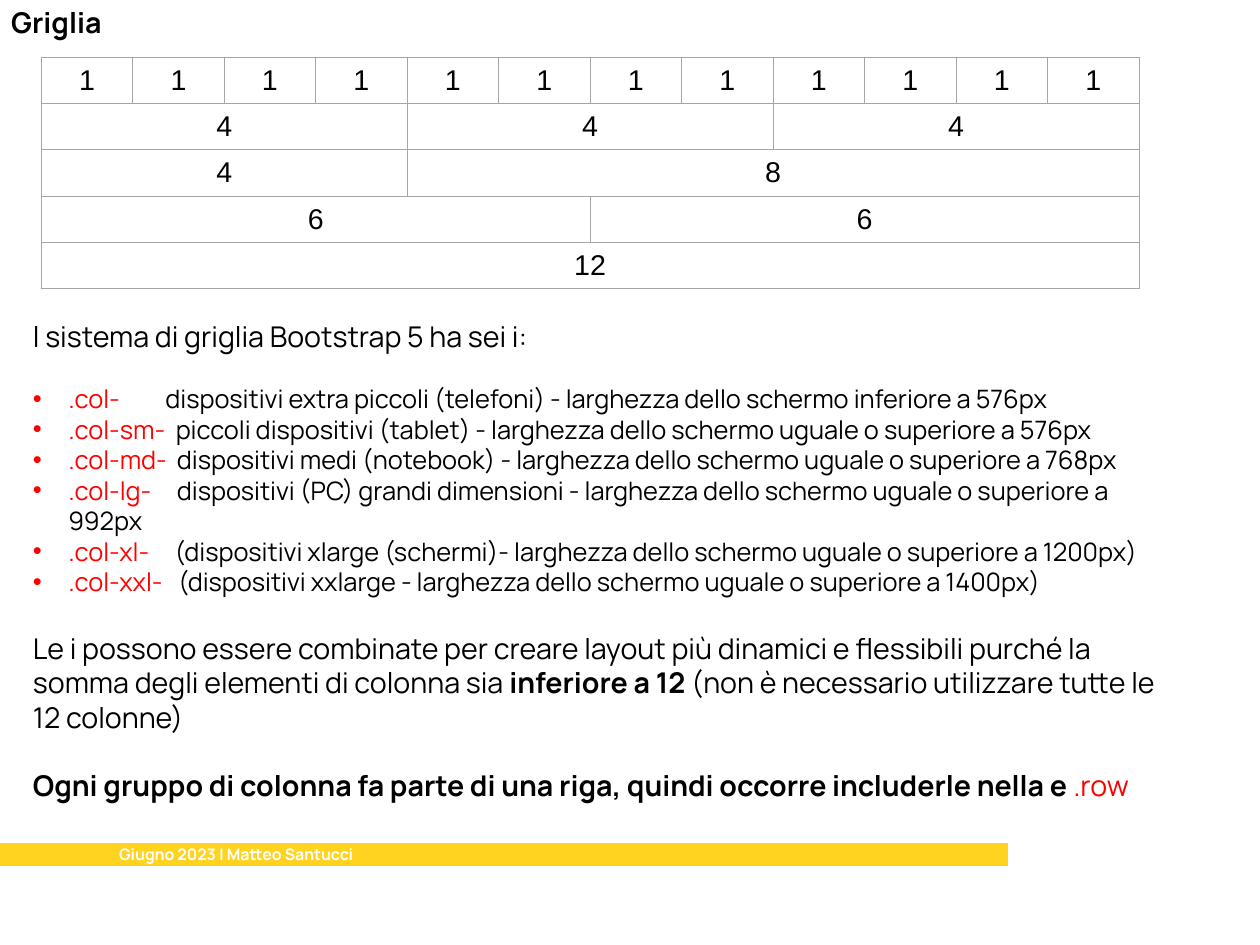
from lxml import etree
from pptx import Presentation
from pptx.dml.color import RGBColor
from pptx.enum.shapes import MSO_CONNECTOR
from pptx.enum.text import MSO_ANCHOR, PP_ALIGN
from pptx.oxml.ns import qn
from pptx.util import Cm, Inches, Pt

STRAIGHT = MSO_CONNECTOR.STRAIGHT
MIDDLE = MSO_ANCHOR.MIDDLE
CENTER = PP_ALIGN.CENTER

SLIDE_W, SLIDE_H = Cm(28), Cm(21)
COLORS = {"ink": "000000", "code": "FF0000", "bar": "FFD320",
          "paper": "FFFFFF", "rule": "A6A6A6"}
COLUMNS = 12
SPANS = [[1] * COLUMNS, [4, 4, 4], [4, 8], [6, 6], [12]]
INDENT = Inches(0.31)
BREAKPOINTS = [
    (".col-", "dispositivi extra piccoli (telefoni) - larghezza dello schermo inferiore a 576px", 1.16),
    (".col-sm-", "piccoli dispositivi (tablet) - larghezza dello schermo uguale o superiore a 576px", 1.25),
    (".col-md-", "dispositivi medi (notebook) - larghezza dello schermo uguale o superiore a 768px", 1.26),
    (".col-lg-", "dispositivi (PC) grandi dimensioni - larghezza dello schermo uguale o superiore a 992px", 1.26),
    (".col-xl-", "(dispositivi xlarge (schermi)- larghezza dello schermo uguale o superiore a 1200px)", 1.24),
    (".col-xxl-", "(dispositivi xxlarge - larghezza dello schermo uguale o superiore a 1400px)", 1.27),
]


def share(left, top, width, height):
    """Turn percentages of the slide into a box of lengths."""
    return (int(SLIDE_W * left / 100), int(SLIDE_H * top / 100),
            int(SLIDE_W * width / 100), int(SLIDE_H * height / 100))


def write(paragraph, text, size=18, color="ink", bold=False, font="Manrope"):
    """Add one formatted run to a paragraph."""
    run = paragraph.add_run()
    run.text = text
    run.font.name = font
    run.font.size = Pt(size)
    run.font.bold = bold
    run.font.color.rgb = RGBColor.from_string(COLORS[color])


def add_frame(slide, box):
    """Add a wrapping text box and return its text frame."""
    frame = slide.shapes.add_textbox(*box).text_frame
    frame.word_wrap = True
    return frame


def add_title(slide, box):
    """Write the slide heading."""
    write(add_frame(slide, box).paragraphs[0], "Griglia", bold=True)


def style_cell(cell):
    """Rule the four sides of a cell and leave it unfilled."""
    properties = cell._tc.get_or_add_tcPr()
    for side in ("lnL", "lnR", "lnT", "lnB"):
        line = etree.SubElement(properties, qn(f"a:{side}"), w=str(Pt(0.75)))
        fill = etree.SubElement(line, qn("a:solidFill"))
        etree.SubElement(fill, qn("a:srgbClr"), val=COLORS["rule"])
    cell.fill.background()


def add_grid(slide, box):
    """Draw the twelve-column grid with its merged spans."""
    grid = slide.shapes.add_table(len(SPANS), COLUMNS, *box).table
    grid.first_row = grid.horz_banding = False
    for row, spans in enumerate(SPANS):
        column = 0
        for span in spans:
            cell = grid.cell(row, column)
            if span > 1:
                cell.merge(grid.cell(row, column + span - 1))
            cell.vertical_anchor = MIDDLE
            paragraph = cell.text_frame.paragraphs[0]
            paragraph.alignment = CENTER
            write(paragraph, str(span), font="Arial")
            column += span
    for cell in grid.iter_cells():
        style_cell(cell)


def add_bullet(paragraph, stop):
    """Give a paragraph a red bullet, a hanging indent and a tab stop."""
    properties = paragraph._p.get_or_add_pPr()
    properties.set("marL", str(INDENT))
    properties.set("indent", str(-INDENT))
    color = etree.SubElement(properties, qn("a:buClr"))
    etree.SubElement(color, qn("a:srgbClr"), val=COLORS["code"])
    etree.SubElement(properties, qn("a:buFont"), typeface="Arial")
    etree.SubElement(properties, qn("a:buChar"), char="•")
    tabs = etree.SubElement(properties, qn("a:tabLst"))
    etree.SubElement(tabs, qn("a:tab"), pos=str(Inches(stop)), algn="l")


def add_explanation(slide, box):
    """Write the breakpoints and the rules for combining columns."""
    frame = add_frame(slide, box)
    write(frame.paragraphs[0], "l sistema di griglia Bootstrap 5 ha sei i:")
    for number, (name, meaning, stop) in enumerate(BREAKPOINTS):
        item = frame.add_paragraph()
        if number == 0:
            item.space_before = Pt(19.3)
        add_bullet(item, stop)
        write(item, name + "\t", size=16, color="code")
        write(item, meaning, size=16)

    combining = frame.add_paragraph()
    write(combining, "Le i possono essere combinate per creare layout più dinamici e flessibili "
                     "purché la somma degli elementi di colonna sia ")
    write(combining, "inferiore a 12 ", bold=True)
    write(combining, "(non è necessario utilizzare tutte le 12 colonne)")

    wrapping = frame.add_paragraph()
    write(wrapping, "Ogni gruppo di colonna fa parte di una riga, quindi occorre "
                    "includerle nella e ", bold=True)
    write(wrapping, ".row", color="code")
    combining.space_before = wrapping.space_before = Pt(21.6)


def add_footer(slide, box):
    """Draw the yellow bar with the date and author."""
    left, top, width, height = box
    middle = top + height // 2
    bar = slide.shapes.add_connector(STRAIGHT, left, middle, left + width, middle)
    bar.line.width = Pt(14.17)
    bar.line.color.rgb = RGBColor.from_string(COLORS["bar"])
    etree.SubElement(bar._element.spPr, qn("a:effectLst"))
    credit = (left + int(width * 0.107), top, width // 2, height)
    write(add_frame(slide, credit).paragraphs[0], "Giugno 2023 | Matteo Santucci",
          size=10, color="paper", bold=True)


def main():
    """Build and save the slide."""
    deck = Presentation()
    deck.slide_width, deck.slide_height = SLIDE_W, SLIDE_H
    slide = deck.slides.add_slide(deck.slide_layouts[6])
    add_title(slide, share(0, -0.12, 14.88, 4.11))
    add_footer(slide, share(0, 88.75, 80.04, 3.4))
    add_explanation(slide, share(1.72, 33.13, 93.28, 52.96))
    add_grid(slide, share(3.27, 6.05, 87.13, 24.5))
    deck.save("out.pptx")


if __name__ == "__main__":
    main()
